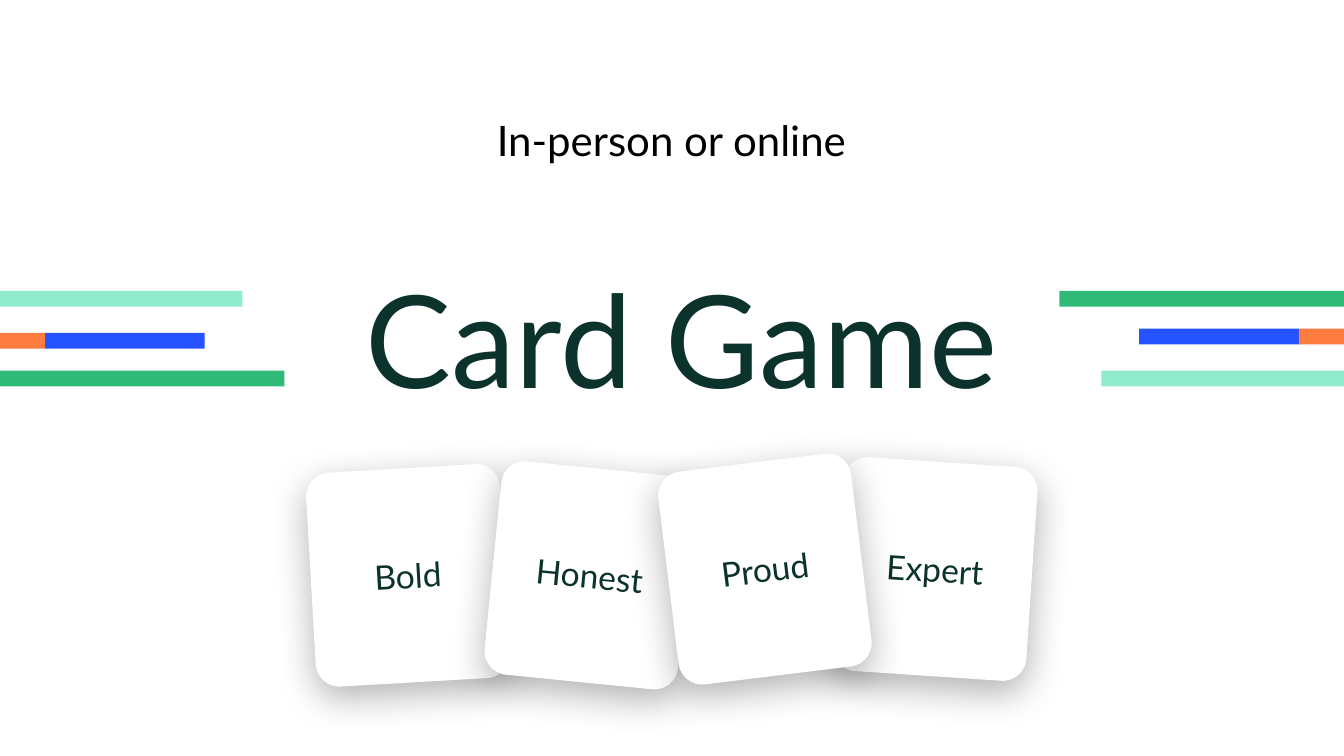
from lxml.etree import SubElement
from pptx import Presentation
from pptx.dml.color import RGBColor
from pptx.enum.shapes import MSO_SHAPE
from pptx.enum.text import MSO_ANCHOR, PP_ALIGN
from pptx.oxml.ns import qn
from pptx.util import Pt

PIXEL = 9525
SLIDE_WIDTH, SLIDE_HEIGHT = 1280, 720
STRIPE_HEIGHT, ORANGE_LENGTH = 15, 43
CARD_WIDTH, CARD_HEIGHT = 185, 204
TEXT_INSET = 12
FONT = "Lato"

GREEN = RGBColor(0x30, 0xBA, 0x78)
BLUE = RGBColor(0x24, 0x53, 0xFF)
MINT = RGBColor(0x90, 0xEB, 0xCD)
ORANGE = RGBColor(0xFE, 0x7C, 0x3F)
PINE = RGBColor(0x0C, 0x32, 0x2C)
BLACK = RGBColor(0x00, 0x00, 0x00)
WHITE = RGBColor(0xFF, 0xFF, 0xFF)


def px(*lengths):
    """Turn pixel lengths into EMU."""
    return [length * PIXEL for length in lengths]


def write_text(shape, text, *, size, color=PINE, anchor=MSO_ANCHOR.MIDDLE):
    """Write one centred line of text into a shape."""
    frame = shape.text_frame
    frame.word_wrap = True
    frame.vertical_anchor = anchor
    inset = TEXT_INSET * PIXEL
    frame.margin_left = frame.margin_right = inset
    frame.margin_top = frame.margin_bottom = inset
    paragraph = frame.paragraphs[0]
    paragraph.text = text
    paragraph.alignment = PP_ALIGN.CENTER
    paragraph.font.name = FONT
    paragraph.font.size = Pt(size)
    paragraph.font.color.rgb = color


def add_filled_shape(slide, kind, box, color):
    """Add a borderless shape in one colour."""
    shape = slide.shapes.add_shape(kind, *px(*box))
    shape.shadow.inherit = False
    shape.fill.solid()
    shape.fill.fore_color.rgb = color
    shape.line.fill.background()
    return shape


def add_soft_shadow(shape):
    """Drop a soft black shadow below a shape."""
    effects = shape._element.spPr.find(qn("a:effectLst"))
    shadow = SubElement(effects, qn("a:outerShdw"), blurRad=str(Pt(27)), dist=str(Pt(8.2)),
                        dir="5400000", algn="t", rotWithShape="0")
    color = SubElement(shadow, qn("a:srgbClr"), val=str(BLACK))
    SubElement(color, qn("a:alpha"), val="30000")


def add_stripes(slide, edge, top, stripes, from_right=False):
    """Run stripes inward from one slide edge, each given as offset, start, length and color."""
    for offset, start, length, color in stripes:
        left = edge - start - length if from_right else edge + start
        box = (left, top + offset, length, STRIPE_HEIGHT)
        add_filled_shape(slide, MSO_SHAPE.RECTANGLE, box, color)


def add_side_stripes(slide, top):
    """Place the stripe groups on both sides of the title."""
    long_stripe, short_stripe = (0, 271, GREEN), (0, 231, MINT)
    blue_stripe, orange_stripe = (ORANGE_LENGTH, 152, BLUE), (0, ORANGE_LENGTH, ORANGE)
    add_stripes(slide, SLIDE_WIDTH, top, [
        (0, *long_stripe), (36, *blue_stripe), (76, *short_stripe), (36, *orange_stripe),
    ], from_right=True)
    add_stripes(slide, 0, top, [
        (76, *long_stripe), (40, *blue_stripe), (0, *short_stripe), (40, *orange_stripe),
    ])


def add_card(slide, left, top, word, angle):
    """Add one tilted card with its word."""
    box = (left, top, CARD_WIDTH, CARD_HEIGHT)
    card = add_filled_shape(slide, MSO_SHAPE.ROUNDED_RECTANGLE, box, WHITE)
    card.adjustments[0] = 0.122
    card.rotation = angle
    add_soft_shadow(card)
    write_text(card, word, size=24)


def add_cards(slide, left, top):
    """Lay out the overlapping cards from back to front."""
    cards = [("Expert", 502, 0, 3.8), ("Bold", 0, 6, 356.7),
             ("Honest", 173, 6, 5.7), ("Proud", 340, 0, 353)]
    for word, across, down, angle in cards:
        add_card(slide, left + across, top + down, word, angle)


def add_label(slide, box, text, **text_format):
    """Add a text box with one line."""
    label = slide.shapes.add_textbox(*px(*box))
    write_text(label, text, **text_format)


def main():
    """Build and save the slide."""
    presentation = Presentation()
    presentation.slide_width, presentation.slide_height = px(SLIDE_WIDTH, SLIDE_HEIGHT)
    slide = presentation.slides.add_slide(presentation.slide_layouts[6])
    add_side_stripes(slide, top=277)
    add_cards(slide, left=296, top=440)
    add_label(slide, (200, 183, 898, 275), "Card Game", size=92)
    add_label(slide, (200, 97, 879, 74), "In-person or online",
              size=30, color=BLACK, anchor=MSO_ANCHOR.TOP)
    presentation.save("out.pptx")


if __name__ == "__main__":
    main()
